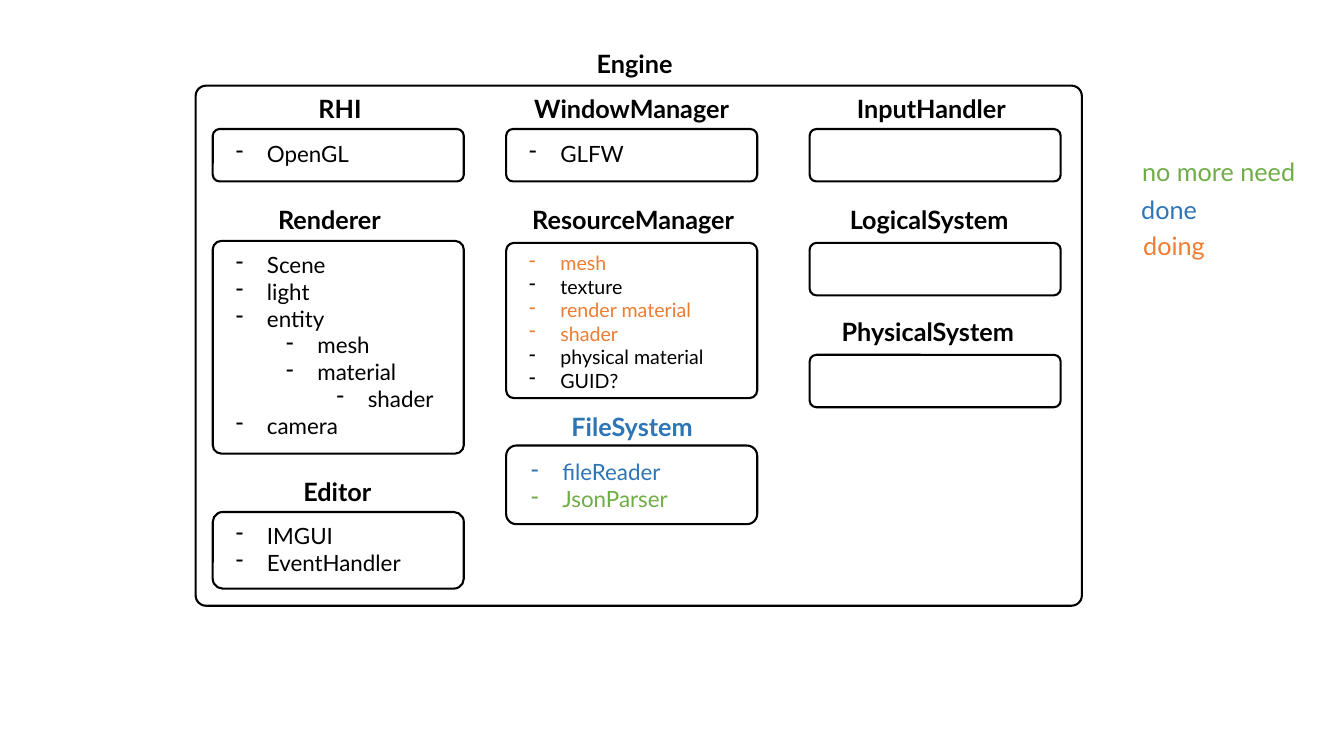
from dataclasses import dataclass

from lxml.etree import SubElement
from pptx import Presentation
from pptx.dml.color import RGBColor
from pptx.enum.shapes import MSO_SHAPE as Preset
from pptx.enum.text import MSO_AUTO_SIZE as AutoSize
from pptx.oxml.ns import qn
from pptx.slide import Slide
from pptx.text.text import _Paragraph as Paragraph
from pptx.util import Inches, Pt

BLACK, BLUE, GREEN, ORANGE = "000000", "2E75B6", "70AD47", "ED7D31"
FONT = "Lato"
MODULE_WIDTH = 2.49
LEFT_COLUMN, MIDDLE_COLUMN, RIGHT_COLUMN = 2.11, 5.02, 8.03
LABEL_HEIGHT = 0.4
BULLET_INDENT, LEVEL_STEP = 0.31, 0.5


@dataclass(frozen=True)
class Item:
    text: str
    color: str = BLACK
    level: int = 0


@dataclass(frozen=True)
class Label:
    text: str
    left: float
    top: float
    width: float
    color: str = BLACK
    bold: bool = True


@dataclass(frozen=True)
class ItemList:
    left: float
    top: float
    height: float
    items: tuple[Item, ...]
    size: int = 16


@dataclass(frozen=True)
class Module:
    title: Label
    left: float
    top: float
    height: float = 0.52
    corner: float = 0.13
    content: ItemList | None = None


MODULES = (
    Module(Label("RHI", 3.06, 0.88, 0.7), LEFT_COLUMN, 1.28,
           content=ItemList(2.24, 1.34, 0.37, (Item("OpenGL"),))),
    Module(Label("Renderer", 2.66, 1.98, 1.38), LEFT_COLUMN, 2.39, 2.11, 0.04,
           ItemList(2.24, 2.44, 1.99, (
               Item("Scene"), Item("light"), Item("entity"),
               Item("mesh", level=1), Item("material", level=1),
               Item("shader", level=2), Item("camera")))),
    Module(Label("Editor", 2.91, 4.68, 1.01), LEFT_COLUMN, 5.08, 0.76,
           content=ItemList(2.24, 5.13, 0.64, (Item("IMGUI"), Item("EventHandler")))),
    Module(Label("WindowManager", 5.2, 0.88, 2.14), MIDDLE_COLUMN, 1.28,
           content=ItemList(5.15, 1.34, 0.37, (Item("GLFW"),))),
    Module(Label("ResourceManager", 5.18, 1.98, 2.29), MIDDLE_COLUMN, 2.41, 1.54, 0.05,
           ItemList(5.15, 2.44, 1.51, (
               Item("mesh", ORANGE), Item("texture"), Item("render material", ORANGE),
               Item("shader", ORANGE), Item("physical material"), Item("GUID?")), 14)),
    Module(Label("FileSystem", 5.57, 4.03, 1.53, BLUE), MIDDLE_COLUMN, 4.42, 0.78,
           content=ItemList(5.17, 4.5, 0.64, (
               Item("fileReader", BLUE), Item("JsonParser", GREEN)))),
    Module(Label("InputHandler", 8.4, 0.88, 1.75), RIGHT_COLUMN, 1.28),
    Module(Label("LogicalSystem", 8.33, 1.98, 1.9), RIGHT_COLUMN, 2.41),
    Module(Label("PhysicalSystem", 8.25, 3.09, 2.04), RIGHT_COLUMN, 3.52),
)
ENGINE_TITLE = Label("Engine", 5.82, 0.43, 1.03)
LEGEND = (
    Label("no more need", 11.23, 1.5, 1.83, GREEN, False),
    Label("done", 11.22, 1.88, 0.95, BLUE, False),
    Label("doing", 11.24, 2.24, 0.95, ORANGE, False),
)


def rgb(color: str) -> RGBColor:
    """Turn a hex string into a colour."""
    return RGBColor.from_string(color)


def draw_frame(slide: Slide, left: float, top: float, width: float,
               height: float, corner: float) -> None:
    """Draw an unfilled rounded rectangle with a black outline."""
    shape = slide.shapes.add_shape(Preset.ROUNDED_RECTANGLE, Inches(left), Inches(top),
                                   Inches(width), Inches(height))
    shape.adjustments[0] = corner
    shape.shadow.inherit = False
    shape.fill.background()
    shape.line.color.rgb = rgb(BLACK)
    shape.line.width = Pt(1.5)


def add_dash(paragraph: Paragraph, level: int) -> None:
    """Give a paragraph a dash bullet and a hanging indent."""
    paragraph.level = level
    properties = paragraph._p.get_or_add_pPr()
    properties.set("marL", str(Inches(BULLET_INDENT + LEVEL_STEP * level)))
    properties.set("indent", str(Inches(-BULLET_INDENT)))
    SubElement(properties, qn("a:buFontTx"))
    SubElement(properties, qn("a:buChar"), char="-")


def draw_text(slide: Slide, left: float, top: float, width: float, height: float,
              items: tuple[Item, ...], size: int, bold: bool = False,
              bulleted: bool = False) -> None:
    """Write one paragraph per item in a text box."""
    box = slide.shapes.add_textbox(Inches(left), Inches(top), Inches(width), Inches(height))
    frame = box.text_frame
    frame.word_wrap = True
    frame.auto_size = AutoSize.SHAPE_TO_FIT_TEXT
    for index, item in enumerate(items):
        paragraph = frame.add_paragraph() if index else frame.paragraphs[0]
        paragraph.text = item.text
        if bulleted:
            add_dash(paragraph, item.level)
        font = paragraph.font
        font.name, font.size, font.bold = FONT, Pt(size), bold
        font.color.rgb = rgb(item.color)


def draw_label(slide: Slide, label: Label) -> None:
    """Write a single-line label."""
    draw_text(slide, label.left, label.top, label.width, LABEL_HEIGHT,
              (Item(label.text, label.color),), 18, label.bold)


def draw_module(slide: Slide, module: Module) -> None:
    """Draw a module with its title, frame and list."""
    draw_label(slide, module.title)
    draw_frame(slide, module.left, module.top, MODULE_WIDTH, module.height, module.corner)
    if module.content:
        content = module.content
        draw_text(slide, content.left, content.top, 2.36, content.height,
                  content.items, content.size, bulleted=True)


def main() -> None:
    """Build the engine overview and save it."""
    presentation = Presentation()
    presentation.slide_width, presentation.slide_height = Inches(13.33), Inches(7.5)
    slide = presentation.slides.add_slide(presentation.slide_layouts[6])
    draw_frame(slide, 1.94, 0.85, 8.79, 5.16, 0.02)
    for module in MODULES:
        draw_module(slide, module)
    for label in (ENGINE_TITLE, *LEGEND):
        draw_label(slide, label)
    presentation.save("out.pptx")


main()
